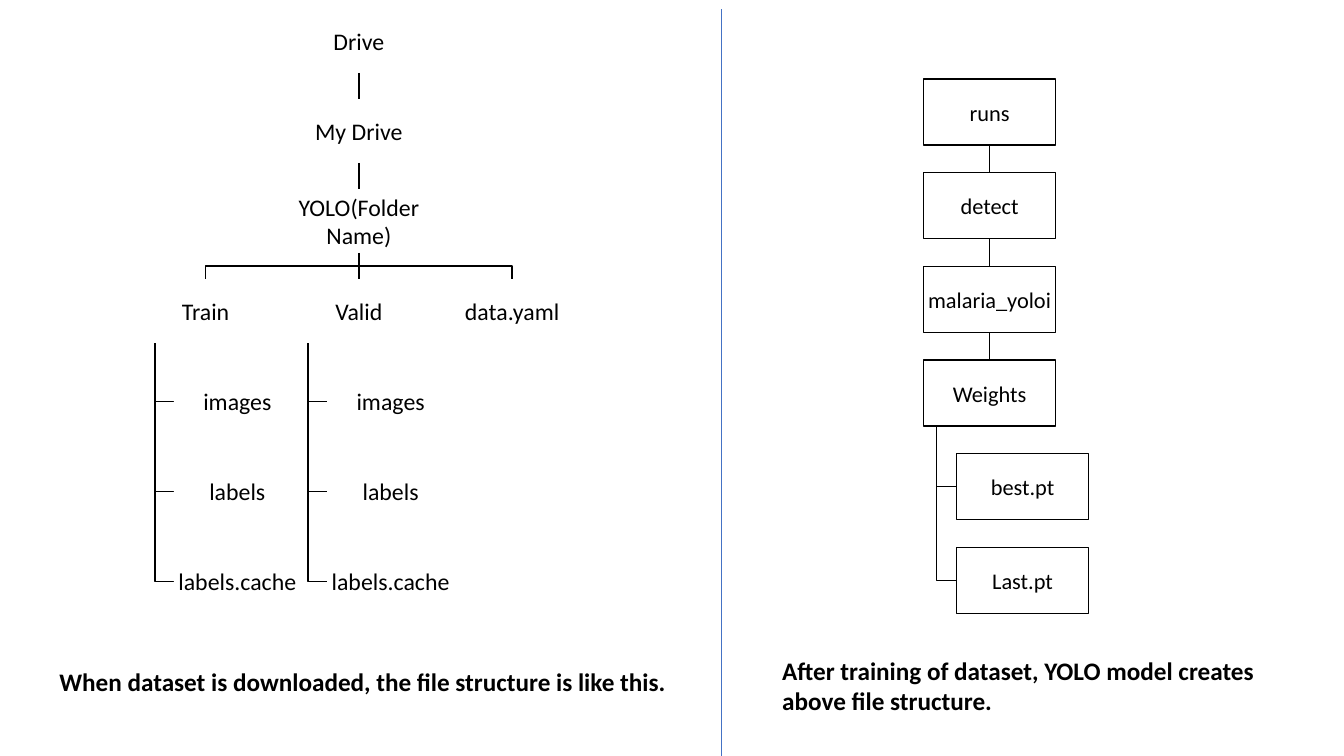
from pptx import Presentation
from pptx.dml.color import RGBColor as RGB
from pptx.enum.shapes import MSO_CONNECTOR as Conn, MSO_SHAPE as Shape
from pptx.enum.text import MSO_ANCHOR as Anchor, PP_ALIGN as Align
from pptx.oxml.ns import qn
from pptx.util import Inches, Pt
from lxml.etree import SubElement

# Content: label, parent's index, column, row, hangs at its parent's side
DRIVE = [
    ("Drive", None, 1, 0, False),
    ("My Drive", 0, 1, 1, False),
    ("YOLO(Folder Name)", 1, 1, 2, False),
    ("Train", 2, 0, 3, False),
    ("Valid", 2, 1, 3, False),
    ("data.yaml", 2, 2, 3, False),
    ("images", 3, 0, 4, True),
    ("labels", 3, 0, 5, True),
    ("labels.cache", 3, 0, 6, True),
    ("images", 4, 1, 4, True),
    ("labels", 4, 1, 5, True),
    ("labels.cache", 4, 1, 6, True),
]
RUNS = [
    ("runs", None, 0, 0, False),
    ("detect", 0, 0, 1, False),
    ("malaria_yoloi", 1, 0, 2, False),
    ("Weights", 2, 0, 3, False),
    ("best.pt", 3, 0, 4, True),
    ("Last.pt", 3, 0, 5, True),
]
# Trees: nodes, left, top, box width, box height, column and row step, size, framed
TREES = [
    (DRIVE, 1.41, 0.09, 1.26, 0.63, 1.52, 0.894, 17, False),
    (RUNS, 9.16, 0.785, 1.31, 0.655, 0, 0.929, 16, True),
]
# Captions: text, left, top, width, height
NOTES = [
    ("When dataset is downloaded, the file structure is like this.",
     0.49, 6.56, 6.35, 0.56),
    ("After training of dataset, YOLO model creates above file structure.",
     7.66, 6.45, 5, 0.34),
]
BLACK, WHITE, BLUE = "000000", "FFFFFF", "4472C4"
WIDE, HIGH = 13.33, 7.5

deck = Presentation()
deck.slide_width, deck.slide_height = Inches(WIDE), Inches(HIGH)
slide = deck.slides.add_slide(deck.slide_layouts[6])


def hue(code):
    return RGB.from_string(code)


def write(frame, text, size, bold=False):
    frame.word_wrap = True
    run = frame.paragraphs[0].add_run()
    run.text = text
    font = run.font
    font.name, font.size, font.bold = "Calibri", Pt(size), bold
    font.color.rgb = hue(BLACK)


def link(points):
    """Draw an open line through the points."""
    start, *rest = [(Inches(x), Inches(y)) for x, y in points]
    form = slide.shapes.build_freeform(*start)
    form.add_line_segments(rest, close=False)
    line = form.convert_to_shape()
    line.shadow.inherit = False
    line.fill.background()
    line.line.color.rgb, line.line.width = hue(BLACK), Pt(1)


def box(text, x, y, wide, high, size, framed):
    node = slide.shapes.add_shape(Shape.RECTANGLE, *map(Inches, (x, y, wide, high)))
    node.shadow.inherit = False
    node.fill.solid()
    node.fill.fore_color.rgb = hue(WHITE)
    if framed:
        node.line.color.rgb, node.line.width = hue(BLACK), Pt(1)
    else:
        node.line.fill.background()
    frame = node.text_frame
    frame.margin_left = frame.margin_right = Inches(0.01)
    frame.margin_top = frame.margin_bottom = Inches(0.01)
    frame.vertical_anchor = Anchor.MIDDLE
    frame.paragraphs[0].alignment = Align.CENTER
    write(frame, text, size)


def tree(nodes, left, top, wide, high, across, down, size, framed):
    # Hanging boxes are indented by a quarter of a box
    spots = [(left + col * across + hang * wide / 4, top + row * down)
             for _, _, col, row, hang in nodes]
    # Links go behind the boxes
    for (_, parent, _, _, hang), (x, y) in zip(nodes, spots):
        if parent is None:
            continue
        px, base = spots[parent][0], spots[parent][1] + high
        if hang:
            rail, mid = px + wide / 10, y + high / 2
            link([(rail, base), (rail, mid), (x, mid)])
        else:
            start, end, mid = px + wide / 2, x + wide / 2, (base + y) / 2
            bend = [(start, mid), (end, mid)] if x != px else []
            link([(start, base), *bend, (end, y)])
    for (text, *_), (x, y) in zip(nodes, spots):
        box(text, x, y, wide, high, size, framed)


# Trees and captions
for item in TREES:
    tree(*item)
for text, *place in NOTES:
    note = slide.shapes.add_textbox(*map(Inches, place))
    write(note.text_frame, text, 18, True)

# Divider between the two halves
rule = slide.shapes.add_connector(
    Conn.STRAIGHT, *map(Inches, (7.15, 0.09, 7.15, HIGH)))
rule.line.color.rgb, rule.line.width = hue(BLUE), Pt(0.5)
SubElement(rule._element.spPr, qn("a:effectLst"))

deck.save("out.pptx")
